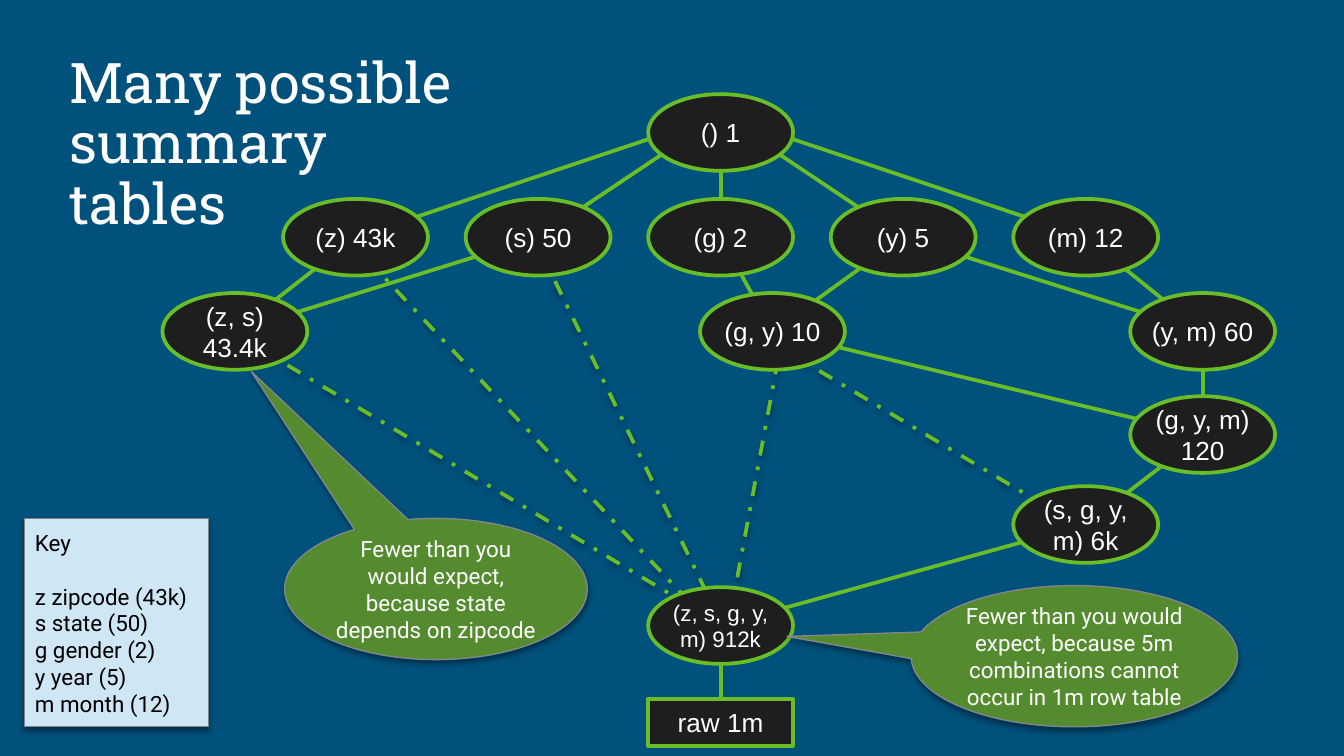
from dataclasses import dataclass
from typing import NamedTuple

from lxml.etree import SubElement
from pptx import Presentation
from pptx.dml.color import RGBColor
from pptx.enum.dml import MSO_LINE
from pptx.enum.shapes import MSO_CONNECTOR, MSO_SHAPE
from pptx.enum.text import MSO_ANCHOR, MSO_AUTO_SIZE, PP_ALIGN
from pptx.oxml.ns import qn
from pptx.util import Cm, Pt


@dataclass(frozen=True)
class Theme:
    background: str = "00517C"
    node: str = "1E1E1E"
    edge: str = "69BE28"
    callout: str = "558B2F"
    key: str = "CFE7F5"
    outline: str = "7E878C"
    light: str = "FFFFFF"
    dark: str = "000000"
    heading_font: str = "Roboto Slab"
    note_font: str = "Roboto"
    node_font: str = "Arial"
    heading_size: float = 30
    node_size: float = 14
    small_size: float = 12
    edge_width: float = 2
    outline_width: float = 0.75


class Box(NamedTuple):
    """Left, top, width and height in centimetres."""
    left: float
    top: float
    width: float
    height: float

    def within(self, outer):
        return Box(outer.left + self.left, outer.top + self.top, self.width, self.height)

    def centre(self):
        return self.left + self.width / 2, self.top + self.height / 2


THEME = Theme()
NODE_WIDTH, NODE_HEIGHT = 2.74, 1.45
COLUMNS = [2.28 + 3.45 * column for column in range(5)]
ROOT, ALL, RAW = "() 1", "(z, s, g, y, m) 912k", "raw 1m"
SINGLES = ["(z) 43k", "(s) 50", "(g) 2", "(y) 5", "(m) 12"]
Z, S, G, Y, M = SINGLES
ZS, GY, YM = "(z, s) 43.4k", "(g, y) 10", "(y, m) 60"
GYM, SGYM = "(g, y, m) 120", "(s, g, y, m) 6k"

NODE_CORNERS = {
    ROOT: (COLUMNS[2], 0),
    **{single: (left, 1.98) for single, left in zip(SINGLES, COLUMNS)},
    ZS: (0, 3.76), GY: (10.16, 3.76), YM: (18.29, 3.76),
    GYM: (18.29, 5.71), SGYM: (COLUMNS[4], 7.41), ALL: (COLUMNS[2], 9.32),
}
ROLLUPS = [(single, ROOT) for single in SINGLES] + [
    (ZS, Z), (ZS, S), (GY, G), (GY, Y), (YM, Y), (YM, M),
    (GYM, GY), (GYM, YM), (SGYM, GYM), (ALL, SGYM),
]
ROOT_EDGE_RISE = 0.33
INDIRECT_ROLLUPS = [
    ((10.49, 10.16), (3.51, 2.74)),
    ((10.72, 9.9), (11.69, 4.72)),
    ((10.65, 10.08), (1.27, 4.47)),
    ((10.62, 10.11), (7.12, 2.92)),
    ((17.35, 8.18), (11.56, 4.72)),
]


def colour(code):
    return RGBColor.from_string(code)


def add_soft_shadow(effects):
    shadow = SubElement(effects, qn("a:outerShdw"), blurRad="38100", dist="20320",
                        dir="5400000", rotWithShape="0")
    black = SubElement(shadow, qn("a:srgbClr"), val=THEME.dark)
    SubElement(black, qn("a:alpha"), val="38000")


def add_run(paragraph, text, font_name, size, code):
    run = paragraph.add_run()
    run.text = text
    run.font.name = font_name
    run.font.size = Pt(size)
    run.font.color.rgb = colour(code)


def set_frame(frame, inset, anchor):
    frame.word_wrap = True
    frame.auto_size = MSO_AUTO_SIZE.NONE
    frame.vertical_anchor = anchor
    frame.margin_left = frame.margin_right = Cm(inset)
    frame.margin_top = frame.margin_bottom = Cm(inset)


def add_panel(slide, preset, box, fill, line, width, shadowed=False):
    panel = slide.shapes.add_shape(preset, *map(Cm, box))
    panel.fill.solid()
    panel.fill.fore_color.rgb = colour(fill)
    panel.line.color.rgb = colour(line)
    panel.line.width = Pt(width)
    panel.shadow.inherit = False
    if shadowed:
        add_soft_shadow(panel._element.spPr.find(qn("a:effectLst")))
    return panel


def add_title(slide, box, lines):
    title = slide.shapes.title
    title.left, title.top, title.width, title.height = map(Cm, box)
    set_frame(title.text_frame, 0.25, MSO_ANCHOR.BOTTOM)
    paragraph = title.text_frame.paragraphs[0]
    paragraph.alignment = PP_ALIGN.LEFT
    paragraph.line_spacing = 0.9
    for index, line in enumerate(lines):
        if index:
            paragraph.add_line_break()
        add_run(paragraph, line, THEME.heading_font, THEME.heading_size, THEME.light)


def add_key(slide, box, heading, entries):
    key = add_panel(slide, MSO_SHAPE.RECTANGLE, box, THEME.key, THEME.outline,
                    THEME.outline_width, shadowed=True)
    frame = key.text_frame
    set_frame(frame, 0.2, MSO_ANCHOR.TOP)
    for index, entry in enumerate([heading, *entries]):
        paragraph = frame.add_paragraph() if index else frame.paragraphs[0]
        paragraph.alignment = PP_ALIGN.LEFT
        if index == 1:
            paragraph.space_before = Pt(14.4)
        add_run(paragraph, entry, THEME.note_font, THEME.small_size, THEME.dark)


def add_edge(slide, start, end, indirect=False):
    edge = slide.shapes.add_connector(MSO_CONNECTOR.STRAIGHT, *map(Cm, (*start, *end)))
    edge.line.color.rgb = colour(THEME.edge)
    edge.line.width = Pt(THEME.edge_width)
    effects = SubElement(edge._element.spPr, qn("a:effectLst"))
    if indirect:
        edge.line.dash_style = MSO_LINE.DASH_DOT
        add_soft_shadow(effects)
    return edge


def add_node(slide, preset, box, label, inset=0):
    node = add_panel(slide, preset, box, THEME.node, THEME.edge, THEME.edge_width)
    set_frame(node.text_frame, inset, MSO_ANCHOR.MIDDLE)
    paragraph = node.text_frame.paragraphs[0]
    paragraph.alignment = PP_ALIGN.CENTER
    size = THEME.small_size if label == ALL else THEME.node_size
    add_run(paragraph, label, THEME.node_font, size, THEME.light)
    return node


def add_lattice(slide, box):
    """Draw the edges first, so that the nodes cover their ends."""
    nodes = {label: Box(*corner, NODE_WIDTH, NODE_HEIGHT).within(box)
             for label, corner in NODE_CORNERS.items()}
    ends = {label: node.centre() for label, node in nodes.items()}
    root_x, root_y = ends[ROOT]
    ends[ROOT] = root_x, root_y - ROOT_EDGE_RISE

    for start, end in INDIRECT_ROLLUPS:
        shifted = [(box.left + x, box.top + y) for x, y in (start, end)]
        add_edge(slide, *shifted, indirect=True)
    for detail, summary in ROLLUPS:
        add_edge(slide, ends[detail], ends[summary])

    raw_box = Box(COLUMNS[2], 11.43, NODE_WIDTH, 0.89).within(box)
    raw = add_node(slide, MSO_SHAPE.RECTANGLE, raw_box, RAW, 0.2)
    raw_edge = add_edge(slide, (raw_box.centre()[0], raw_box.top), ends[ALL])
    raw_edge.begin_connect(raw, 0)

    for label, node_box in nodes.items():
        add_node(slide, MSO_SHAPE.OVAL, node_box, label)


def add_callout(slide, box, tip, remark):
    callout = add_panel(slide, MSO_SHAPE.OVAL_CALLOUT, box, THEME.callout, THEME.outline,
                        THEME.outline_width, shadowed=True)
    callout.adjustments[0], callout.adjustments[1] = tip
    set_frame(callout.text_frame, 0.03, MSO_ANCHOR.MIDDLE)
    paragraph = callout.text_frame.paragraphs[0]
    paragraph.alignment = PP_ALIGN.CENTER
    add_run(paragraph, remark, THEME.note_font, THEME.small_size, THEME.light)


def main():
    deck = Presentation()
    deck.slide_width, deck.slide_height = Cm(25.4), Cm(14.29)
    slide = deck.slides.add_slide(deck.slide_layouts[5])
    slide.background.fill.solid()
    slide.background.fill.fore_color.rgb = colour(THEME.background)

    add_title(slide, Box(1.07, 1.27, 23.24, 3.45), ["Many possible", "summary", "tables"])
    add_key(slide, Box(0.46, 9.8, 3.48, 3.94), "Key",
            ["z zipcode (43k)", "s state (50)", "g gender (2)", "y year (5)", "m month (12)"])
    add_lattice(slide, Box(3.07, 1.78, 21.03, 12.32))
    add_callout(slide, Box(17.22, 11.07, 6.17, 2.67), (-0.88, -0.14),
                "Fewer than you would expect, because 5m combinations cannot occur in 1m row table")
    add_callout(slide, Box(5.38, 9.8, 5.72, 2.67), (-0.61, -1.54),
                "Fewer than you would expect, because state depends on zipcode")
    deck.save("out.pptx")


if __name__ == "__main__":
    main()
